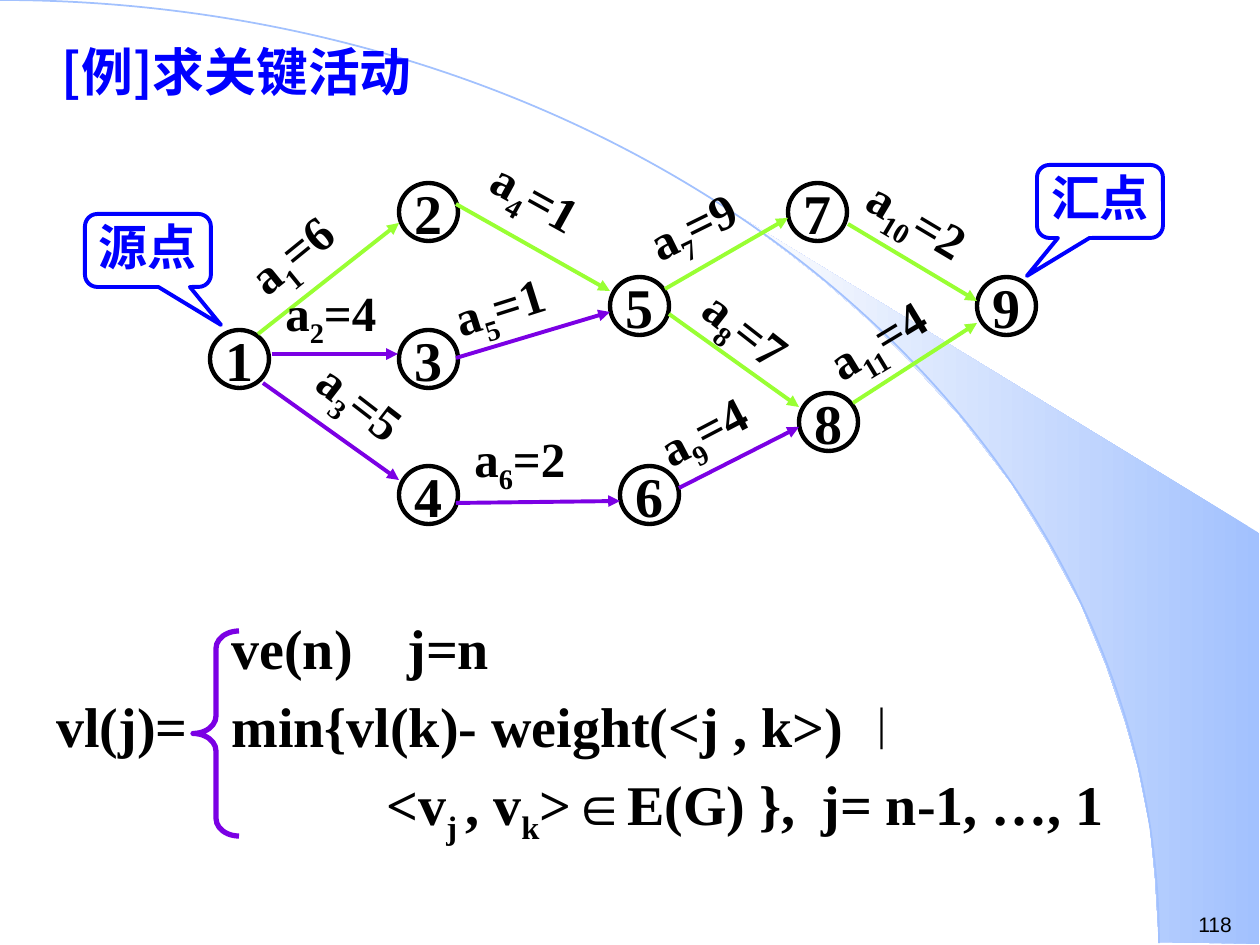
import pptx
import pptx.dml.color
import pptx.enum.shapes
import pptx.enum.text
import pptx.oxml.ns
import pptx.util
from lxml import etree

RGB = pptx.dml.color.RGBColor
BLACK = RGB(0x00, 0x00, 0x00)
BLUE = RGB(0x00, 0x00, 0xFF)
PURPLE = RGB(0x7B, 0x00, 0xE4)
GREEN = RGB(0x99, 0xFF, 0x33)
SKY = RGB(0xA2, 0xC1, 0xFE)
PALE = RGB(0xFE, 0xFE, 0xFE)

SHAPE = pptx.enum.shapes.MSO_SHAPE
ALIGN = pptx.enum.text.PP_ALIGN
ANCHOR = pptx.enum.text.MSO_ANCHOR
qn = pptx.oxml.ns.qn

PX = 914400 / 126
SERIF, SANS, HAN = "Times New Roman", "Arial", "Noto Sans CJK SC"


def emu(px):
    return pptx.util.Emu(round(px * PX))


class Deck:
    """Text style plus the slide being drawn."""

    base_font = {"name": SERIF, "size": 28, "bold": True, "color": BLACK}

    def __init__(self, slide):
        self.slide = slide
        self.shapes = slide.shapes

    def run(self, paragraph, text, subscript=False, **font):
        run = paragraph.add_run()
        run.text = text
        style = {**self.base_font, **font}
        run.font.color.rgb = style.pop("color")
        style["size"] = pptx.util.Pt(style["size"])
        for name, value in style.items():
            setattr(run.font, name, value)
        properties = run._r.get_or_add_rPr()
        etree.SubElement(properties, qn("a:ea")).set("typeface", HAN)
        if subscript:
            properties.set("baseline", "-25000")

    def formula(self, paragraph, text, **font):
        """Every second piece between bars is a subscript."""
        for index, piece in enumerate(text.split("|")):
            self.run(paragraph, piece, index % 2 == 1, **font)

    def frame(self, shape, **settings):
        frame = shape.text_frame
        for name, value in {"word_wrap": True, **settings}.items():
            setattr(frame, name, value)
        return frame

    def text(self, box, text, rotation=0, **font):
        label = self.shapes.add_textbox(*map(emu, box))
        label.rotation = rotation
        frame = self.frame(label)
        self.formula(frame.paragraphs[0], text, **font)
        return frame

    def title(self, box, text, **font):
        title = self.shapes.title
        self.shapes._spTree.append(title._element)
        title.left, title.top, title.width, title.height = map(emu, box)
        frame = self.frame(title, vertical_anchor=ANCHOR.TOP,
                           auto_size=pptx.enum.text.MSO_AUTO_SIZE.NONE)
        heading = frame.paragraphs[0]
        heading.alignment = ALIGN.LEFT
        heading.line_spacing = 0.9
        self.formula(heading, text, **font)

    def outline(self, kind, box, color, width, adjustments=()):
        shape = self.shapes.add_shape(kind, *map(emu, box))
        shape.shadow.inherit = False
        shape.fill.background()
        shape.line.color.rgb = color
        shape.line.width = pptx.util.Pt(width)
        for index, value in enumerate(adjustments):
            shape.adjustments[index] = value
        return shape

    def caption(self, shape, text, bottom=0, **font):
        frame = self.frame(shape, word_wrap=False, vertical_anchor=ANCHOR.MIDDLE,
                           margin_left=0, margin_right=0, margin_top=0,
                           margin_bottom=emu(bottom))
        frame.paragraphs[0].alignment = ALIGN.CENTER
        self.formula(frame.paragraphs[0], text, **font)

    def arrow(self, ends, color):
        arrow = self.shapes.add_connector(
            pptx.enum.shapes.MSO_CONNECTOR.STRAIGHT, *map(emu, ends))
        arrow.line.color.rgb = color
        arrow.line.width = pptx.util.Pt(2.25)
        line = arrow.line._get_or_add_ln()
        etree.SubElement(line, qn("a:tailEnd")).set("type", "triangle")
        etree.SubElement(arrow._element.spPr, qn("a:effectLst"))

    def gradient_area(self, points, start, end, angle):
        builder = self.shapes.build_freeform(*points[0], scale=PX)
        builder.add_line_segments(points[1:], close=True)
        area = builder.convert_to_shape()
        area.shadow.inherit = False
        area.line.fill.background()
        area.fill.gradient()
        area.fill.gradient_angle = angle
        for stop, color in zip(area.fill.gradient_stops, (start, end)):
            stop.color.rgb = color

    def tabs(self, paragraph, *positions):
        tab_list = etree.SubElement(paragraph._p.get_or_add_pPr(), qn("a:tabLst"))
        for position in positions:
            tab = etree.SubElement(tab_list, qn("a:tab"))
            tab.set("pos", str(emu(position)))
            tab.set("algn", "l")


SWOOSH = [(1159, 942), (1259, 944), (1259, 533), (742, 218), (786, 251),
          (823, 280), (863, 315), (902, 353), (960, 416), (1012, 484),
          (1048, 543), (1081, 604), (1106, 665), (1125, 721), (1138, 767),
          (1150, 827), (1155, 877)]

EVENTS = {"1": (210, 330), "2": (399, 183), "3": (399, 330), "4": (399, 466),
          "5": (610, 277), "6": (620, 466), "7": (788, 183), "8": (799, 393),
          "9": (977, 277)}

# Arrow ends, colour, label, label box, label rotation
ACTIVITIES = [
    ((258, 334, 399, 223), GREEN, "a|1|=6", (232, 207, 147, 79), -39.1),
    ((272, 354, 398, 354), PURPLE, "a|2|=4", (273, 276, 179, 79), 0),
    ((263, 383, 399, 480), PURPLE, "a|3|=5", (295, 384, 179, 79), 37.7),
    ((456, 204, 610, 291), GREEN, "a|4|=1", (473, 175, 179, 79), 28.9),
    ((456, 358, 610, 312), PURPLE, "a|5|=1", (441, 260, 179, 79), -17.6),
    ((456, 503, 620, 501), PURPLE, "a|6|=2", (462, 422, 179, 79), 0),
    ((665, 289, 788, 218), GREEN, "a|7|=9", (633, 175, 179, 79), -26.2),
    ((669, 314, 799, 407), GREEN, "a|8|=7", (680, 311, 179, 79), 38),
    ((679, 488, 799, 427), PURPLE, "a|9|=4", (643, 379, 179, 79), -27.6),
    ((848, 224, 977, 301), GREEN, "a|10|=2", (848, 195, 179, 79), 30.9),
    ((853, 403, 977, 323), GREEN, "a|11|=4", (811, 290, 179, 79), -31.2),
]

# Text, corner, sideways direction of the pointer
CALLOUTS = [("源点", (85, 214), 1), ("汇点", (1037, 165), -1)]


def main():
    presentation = pptx.Presentation()
    presentation.slide_width = pptx.util.Inches(10)
    presentation.slide_height = pptx.util.Inches(7.5)
    deck = Deck(presentation.slides.add_slide(presentation.slide_layouts[5]))

    # Background sweep and page number
    deck.gradient_area(SWOOSH, SKY, PALE, 180)
    deck.outline(SHAPE.ARC, (-1159, 0, 2318, 1886), SKY, 1)
    deck.text((1186, 905, 74, 38), "118", name=SANS, size=12, bold=False)

    deck.title((49, 40, 456, 79), "[例]求关键活动", name=HAN, size=29.6, color=BLUE)

    # Activity network
    for number, corner in EVENTS.items():
        event = deck.outline(SHAPE.OVAL, (*corner, 59, 58), BLACK, 2.5)
        deck.caption(event, number, size=32)
    for ends, color, label, box, rotation in ACTIVITIES:
        deck.arrow(ends, color)
        deck.text(box, label, rotation)
    for name, corner, direction in CALLOUTS:
        callout = deck.outline(SHAPE.ROUNDED_RECTANGULAR_CALLOUT, (*corner, 126, 73),
                               BLUE, 2.25, (0.58 * direction, 1.02, 0.17))
        deck.caption(callout, name, bottom=10, color=BLUE)

    # Latest-time formula
    deck.outline(SHAPE.LEFT_BRACE, (193, 631, 46, 205), PURPLE, 3, (0.38, 0.5))
    deck.text((44, 685, 165, 81), "vl(j)=", size=32)
    cases = deck.text((219, 601, 1002, 262), "ve(n)\tj=n", size=32)
    last_vertex = cases.paragraphs[0]
    other_vertices, edge_condition = cases.add_paragraph(), cases.add_paragraph()
    deck.tabs(last_vertex, 176)
    deck.tabs(edge_condition, 155, 590)
    deck.formula(other_vertices, "min{vl(k)- weight(<j , k>) ", size=32)
    deck.run(other_vertices, "︱", name=SANS)
    deck.formula(edge_condition, "\t<v|j |, v|k|>∈E(G) },\tj= n-1, …, 1", size=32)
    for case in cases.paragraphs:
        case.line_spacing = 1.1
    for case in (other_vertices, edge_condition):
        case.space_before = pptx.util.Pt(2)

    presentation.save("out.pptx")


if __name__ == "__main__":
    main()
